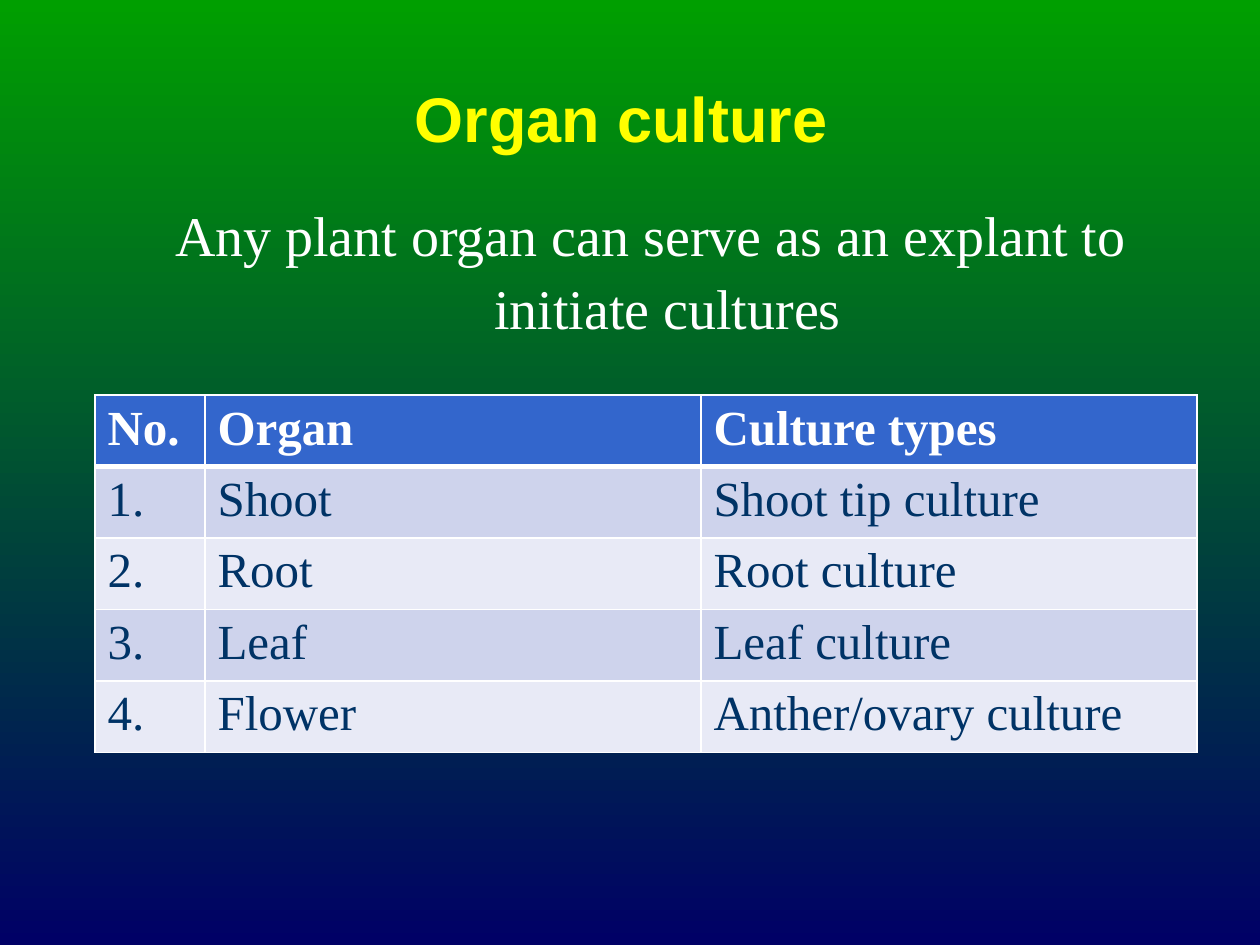
from dataclasses import dataclass

from lxml import etree
from pptx import Presentation
from pptx.dml.color import RGBColor
from pptx.enum.text import MSO_ANCHOR, PP_ALIGN
from pptx.oxml.ns import qn
from pptx.util import Pt

EMU_PER_PX = 914400 / 126
CENTER, LEFT = PP_ALIGN.CENTER, PP_ALIGN.LEFT
TOP, MIDDLE = MSO_ANCHOR.TOP, MSO_ANCHOR.MIDDLE
SANS, SERIF = "Arial", "Times New Roman"
COLORS = {
    "green": "009F00",
    "navy": "000066",
    "yellow": "FFFF00",
    "white": "FFFFFF",
    "header": "3366CC",
    "odd_row": "CED3EC",
    "even_row": "E8EAF6",
    "ink": "003366",
}


@dataclass(frozen=True)
class Box:
    left: int
    top: int
    width: int
    height: int

    def emu(self) -> tuple[int, ...]:
        return tuple(map(px, (self.left, self.top, self.width, self.height)))


@dataclass(frozen=True)
class OrganCulture:
    number: str
    organ: str
    culture: str

    def texts(self) -> tuple[str, str, str]:
        return self.number, self.organ, self.culture


HEADINGS = OrganCulture("No.", "Organ", "Culture types")
ORGANS = [
    OrganCulture("1.", "Shoot", "Shoot tip culture"),
    OrganCulture("2.", "Root", "Root culture"),
    OrganCulture("3.", "Leaf", "Leaf culture"),
    OrganCulture("4.", "Flower", "Anther/ovary culture"),
]
COLUMN_WIDTHS = (110, 496, 496)
ROW_HEIGHT = 67


def px(length: int) -> int:
    return round(length * EMU_PER_PX)


def rgb(name: str) -> RGBColor:
    return RGBColor.from_string(COLORS[name])


def write(frame, text: str, *, size: int, color: str, font: str = SERIF,
          bold: bool = False, align=LEFT, hanging: int = 0, spacing: float = 1.0) -> None:
    paragraph = frame.paragraphs[0]
    paragraph.alignment = align
    paragraph.line_spacing = spacing
    if hanging:
        properties = paragraph._p.get_or_add_pPr()
        properties.set("marL", str(px(hanging)))
        properties.set("indent", str(-px(hanging)))
    run = paragraph.add_run()
    run.text = text
    run.font.name = font
    run.font.size = Pt(size)
    run.font.bold = bold
    run.font.color.rgb = rgb(color)


def add_text(slide, box: Box, text: str, *, anchor=TOP, **style) -> None:
    frame = slide.shapes.add_textbox(*box.emu()).text_frame
    frame.word_wrap = True
    frame.vertical_anchor = anchor
    write(frame, text, **style)


def set_borders(cell, **widths: int) -> None:
    """Draw white cell borders; widths are in points, keyed by side."""
    properties = cell._tc.get_or_add_tcPr()
    for position, (side, width) in enumerate(widths.items()):
        line = etree.Element(qn(f"a:ln{side}"), w=str(Pt(width)))
        fill = etree.SubElement(line, qn("a:solidFill"))
        etree.SubElement(fill, qn("a:srgbClr"), val=COLORS["white"])
        properties.insert(position, line)


def add_organ_table(slide, left: int, top: int) -> None:
    rows = [HEADINGS, *ORGANS]
    box = Box(left, top, sum(COLUMN_WIDTHS), ROW_HEIGHT * len(rows))
    table = slide.shapes.add_table(len(rows), len(COLUMN_WIDTHS), *box.emu()).table
    for column, width in zip(table.columns, COLUMN_WIDTHS):
        column.width = px(width)
    for index, row in enumerate(rows):
        table.rows[index].height = px(ROW_HEIGHT)
        is_header = index == 0
        band = "header" if is_header else ("odd_row" if index % 2 else "even_row")
        for cell, text in zip(table.rows[index].cells, row.texts()):
            cell.fill.solid()
            cell.fill.fore_color.rgb = rgb(band)
            write(cell.text_frame, text, size=28, bold=is_header,
                  color="white" if is_header else "ink")
            set_borders(cell, L=1, R=1, T=3 if index == 1 else 1,
                        B=3 if is_header else 1)


def paint_background(slide) -> None:
    fill = slide.background.fill
    fill.gradient()
    fill.gradient_angle = 270
    for stop, position, color in zip(fill.gradient_stops, (0, 1), ("green", "navy")):
        stop.position = position
        stop.color.rgb = rgb(color)


def main() -> None:
    deck = Presentation()
    deck.slide_width, deck.slide_height = px(1260), px(945)
    slide = deck.slides.add_slide(deck.slide_layouts[6])
    paint_background(slide)
    add_text(slide, Box(63, 38, 1134, 158), "Organ culture ", anchor=MIDDLE,
             size=36, color="yellow", font=SANS, bold=True, align=CENTER)
    add_text(slide, Box(84, 189, 1134, 199),
             "Any plant organ can serve as an explant to initiate cultures ",
             size=32, color="white", align=CENTER, hanging=48, spacing=1.08)
    add_organ_table(slide, 95, 395)
    deck.save("out.pptx")


if __name__ == "__main__":
    main()
